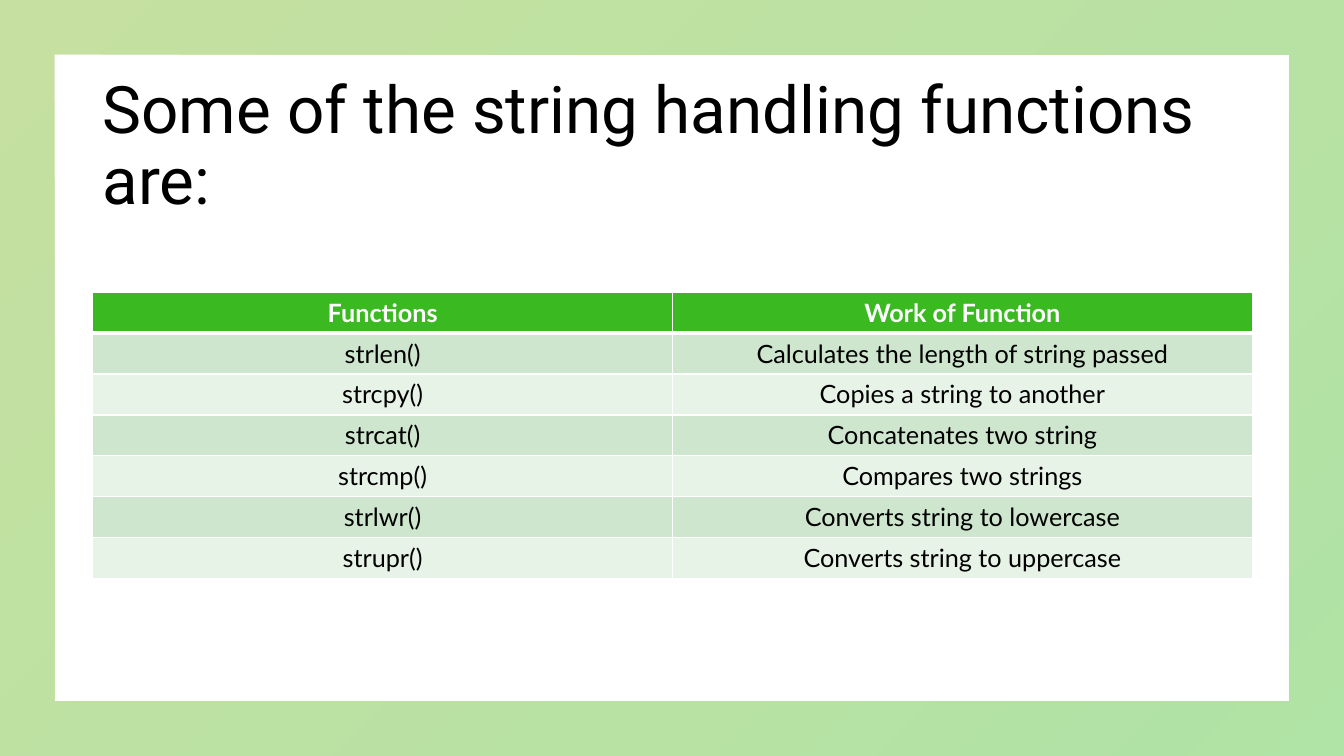
from dataclasses import dataclass

from lxml import etree
from pptx import Presentation
from pptx.dml.color import RGBColor
from pptx.enum.shapes import MSO_SHAPE
from pptx.enum.text import MSO_ANCHOR, PP_ALIGN
from pptx.oxml.ns import qn
from pptx.util import Inches, Pt


@dataclass(frozen=True)
class Theme:
    title_font: str = "Roboto"
    body_font: str = "Lato"
    title_size: float = 46.8
    body_size: float = 18
    text: str = "000000"
    white: str = "FFFFFF"
    olive: str = "70B213"
    green: str = "3AB921"
    bands: tuple = ("CEE6CD", "E8F3E8")
    frame_opacity: int = 40
    border: float = 1
    header_border: float = 3


FUNCTIONS = [
    ("Functions", "Work of Function"),
    ("strlen()", "Calculates the length of string passed"),
    ("strcpy()", "Copies a string to another"),
    ("strcat()", "Concatenates two string"),
    ("strcmp()", "Compares two strings"),
    ("strlwr()", "Converts string to lowercase"),
    ("strupr()", "Converts string to uppercase"),
]


class SlideBuilder:
    def __init__(self, prs, theme):
        self.theme = theme
        self.slide = prs.slides.add_slide(prs.slide_layouts[6])

    def style_run(self, p, font, size, color, bold=False):
        f = p.runs[0].font
        f.name, f.size, f.bold = font, Pt(size), bold
        f.color.rgb = RGBColor.from_string(color)

    def frame(self, width, height, thickness):
        """Add a border with a translucent diagonal gradient."""
        sp = self.slide.shapes.add_shape(MSO_SHAPE.FRAME, 0, 0, width, height)
        sp.adjustments[0] = thickness
        sp.shadow.inherit = False
        sp.line.fill.background()
        sp.fill.gradient()
        sp.fill.gradient_angle = 315
        colors = (self.theme.olive, self.theme.green)
        for stop, color in zip(sp.fill.gradient_stops, colors):
            stop.color.rgb = RGBColor.from_string(color)
        for clr in sp.fill._xPr.iter(qn("a:srgbClr")):
            alpha = etree.SubElement(clr, qn("a:alpha"))
            alpha.set("val", str(self.theme.frame_opacity * 1000))

    def title(self, text, left, top, width, height):
        tf = self.slide.shapes.add_textbox(left, top, width, height).text_frame
        tf.word_wrap = True
        tf.vertical_anchor = MSO_ANCHOR.MIDDLE
        tf.text = text
        p = tf.paragraphs[0]
        p.line_spacing = 0.9
        self.style_run(p, self.theme.title_font, self.theme.title_size, self.theme.text)

    def cell_borders(self, cell, top, bottom):
        """Draw white borders; top and bottom are widths in points."""
        side = self.theme.border
        widths = {"lnL": side, "lnR": side, "lnT": top, "lnB": bottom}
        tc_pr = cell._tc.get_or_add_tcPr()
        for i, (tag, width) in enumerate(widths.items()):
            ln = etree.Element(qn(f"a:{tag}"), w=str(Pt(width)))
            fill = etree.SubElement(ln, qn("a:solidFill"))
            etree.SubElement(fill, qn("a:srgbClr"), val=self.theme.white)
            tc_pr.insert(i, ln)

    def table(self, rows, left, top, width, height):
        t = self.theme
        shape = self.slide.shapes.add_table(len(rows), len(rows[0]), left, top, width, height)
        for r, row in enumerate(rows):
            header = r == 0
            fill = t.green if header else t.bands[(r - 1) % 2]
            for c, text in enumerate(row):
                cell = shape.table.cell(r, c)
                cell.fill.solid()
                cell.fill.fore_color.rgb = RGBColor.from_string(fill)
                self.cell_borders(cell,
                                  top=t.header_border if r == 1 else t.border,
                                  bottom=t.header_border if header else t.border)
                cell.text_frame.text = text
                p = cell.text_frame.paragraphs[0]
                p.alignment = PP_ALIGN.CENTER
                self.style_run(p, t.body_font, t.body_size,
                               t.white if header else t.text, bold=header)


def main():
    prs = Presentation()
    prs.slide_width, prs.slide_height = Inches(13.33), Inches(7.5)
    s = SlideBuilder(prs, Theme())
    s.frame(prs.slide_width, prs.slide_height, thickness=0.072)
    left, width = Inches(0.92), Inches(11.5)
    s.title("Some of the string handling functions are:",
            left, Inches(0.74), width, Inches(1.45))
    s.table(FUNCTIONS, left, Inches(2.9), width, Inches(2.84))
    prs.save("out.pptx")


if __name__ == "__main__":
    main()
